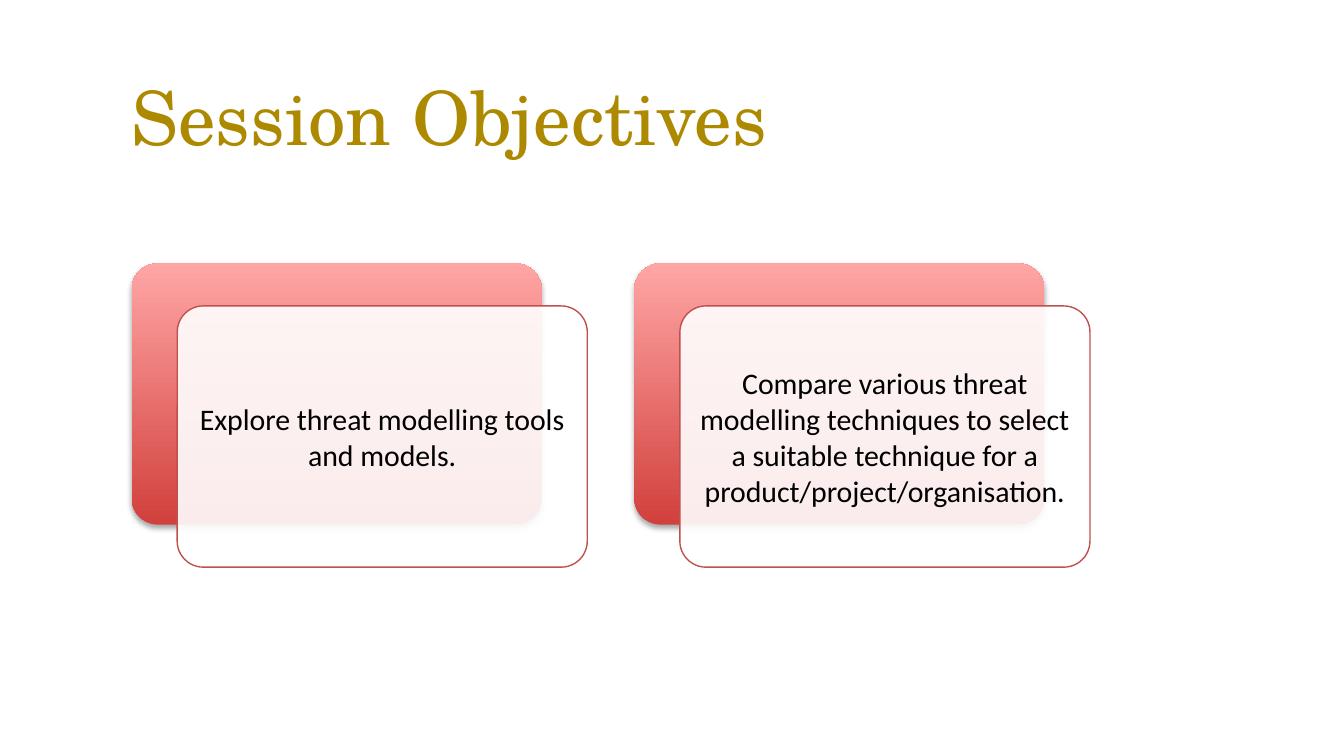
from lxml.etree import SubElement
from pptx import Presentation
from pptx.dml.color import RGBColor
from pptx.enum.shapes import MSO_SHAPE
from pptx.enum.text import MSO_ANCHOR, PP_ALIGN
from pptx.oxml.ns import qn
from pptx.util import Inches, Pt

COLORS = {
    "title": "AD8900",
    "panel_bottom": "D1403C",
    "panel_top": "FFA6A5",
    "card": "FFFFFF",
    "card_line": "C0504D",
    "text": "000000",
    "shadow": "000000",
}
WIDTH = 10
HEIGHT = WIDTH * 9 / 16
LEFT, CONTENT_WIDTH = 0.98, 7.13
COLUMN_STEP = 3.74
SHIFT_X, SHIFT_Y = 0.1, 0.14
OBJECTIVES = [
    "Explore threat modelling tools and models.",
    "Compare various threat modelling techniques to select a suitable "
    "technique for a product/project/organisation.",
]


def color(name):
    return RGBColor.from_string(COLORS[name])


def set_margins(frame, margin):
    frame.margin_left = frame.margin_right = Inches(margin)
    frame.margin_top = frame.margin_bottom = Inches(margin)


def style_text(para, font_name, size, color_name):
    for span in para.runs:
        span.font.name = font_name
        span.font.size = Pt(size)
        span.font.color.rgb = color(color_name)


def add_title(page, box, text):
    frame = page.shapes.add_textbox(*map(Inches, box)).text_frame
    frame.word_wrap = True
    set_margins(frame, 0)
    frame.text = text
    para = frame.paragraphs[0]
    para.line_spacing = Pt(42)
    style_text(para, "TeX Gyre Schola", 40, "title")


def add_rounded(page, box):
    shape = page.shapes.add_shape(MSO_SHAPE.ROUNDED_RECTANGLE, *map(Inches, box))
    shape.adjustments[0] = 0.1
    shape.shadow.inherit = False
    return shape


def add_drop_shadow(shape):
    effects = shape.element.spPr.find(qn("a:effectLst"))
    shadow = SubElement(effects, qn("a:outerShdw"), blurRad=str(Pt(3.1)),
                        dist=str(Pt(1.8)), dir="5400000", rotWithShape="0")
    tone = SubElement(shadow, qn("a:srgbClr"), val=COLORS["shadow"])
    SubElement(tone, qn("a:alpha"), val="35000")


def add_panel(page, box):
    panel = add_rounded(page, box)
    panel.fill.gradient()
    panel.fill.gradient_angle = 90
    for stop, name in zip(panel.fill.gradient_stops, ("panel_bottom", "panel_top")):
        stop.color.rgb = color(name)
    panel.line.fill.background()
    add_drop_shadow(panel)


def add_card(page, box, text):
    card = add_rounded(page, box)
    card.fill.solid()
    card.fill.fore_color.rgb = color("card")
    tone = card.element.spPr.find(qn("a:solidFill")).find(qn("a:srgbClr"))
    SubElement(tone, qn("a:alpha"), val="90000")
    card.line.color.rgb = color("card_line")
    card.line.width = Pt(0.75)
    frame = card.text_frame
    frame.word_wrap = True
    frame.vertical_anchor = MSO_ANCHOR.MIDDLE
    set_margins(frame, 0.07)
    frame.text = text
    para = frame.paragraphs[0]
    para.alignment = PP_ALIGN.CENTER
    style_text(para, "Calibri", 16, "text")


def add_objective(page, box, text):
    """Fill the box with a panel and a card shifted to its lower right."""
    left, top, width, height = box
    shift_x, shift_y = width * SHIFT_X, height * SHIFT_Y
    size = width - shift_x, height - shift_y
    add_panel(page, (left, top, *size))
    add_card(page, (left + shift_x, top + shift_y, *size), text)


def main():
    deck = Presentation()
    deck.slide_width, deck.slide_height = Inches(WIDTH), Inches(HEIGHT)
    page = deck.slides.add_slide(deck.slide_layouts[6])
    add_title(page, (LEFT, 0.61, CONTENT_WIDTH, 0.53), "Session Objectives")
    for column, text in enumerate(OBJECTIVES):
        box = (LEFT + column * COLUMN_STEP, 1.96, CONTENT_WIDTH - COLUMN_STEP, 2.26)
        add_objective(page, box, text)
    deck.save("out.pptx")


if __name__ == "__main__":
    main()
